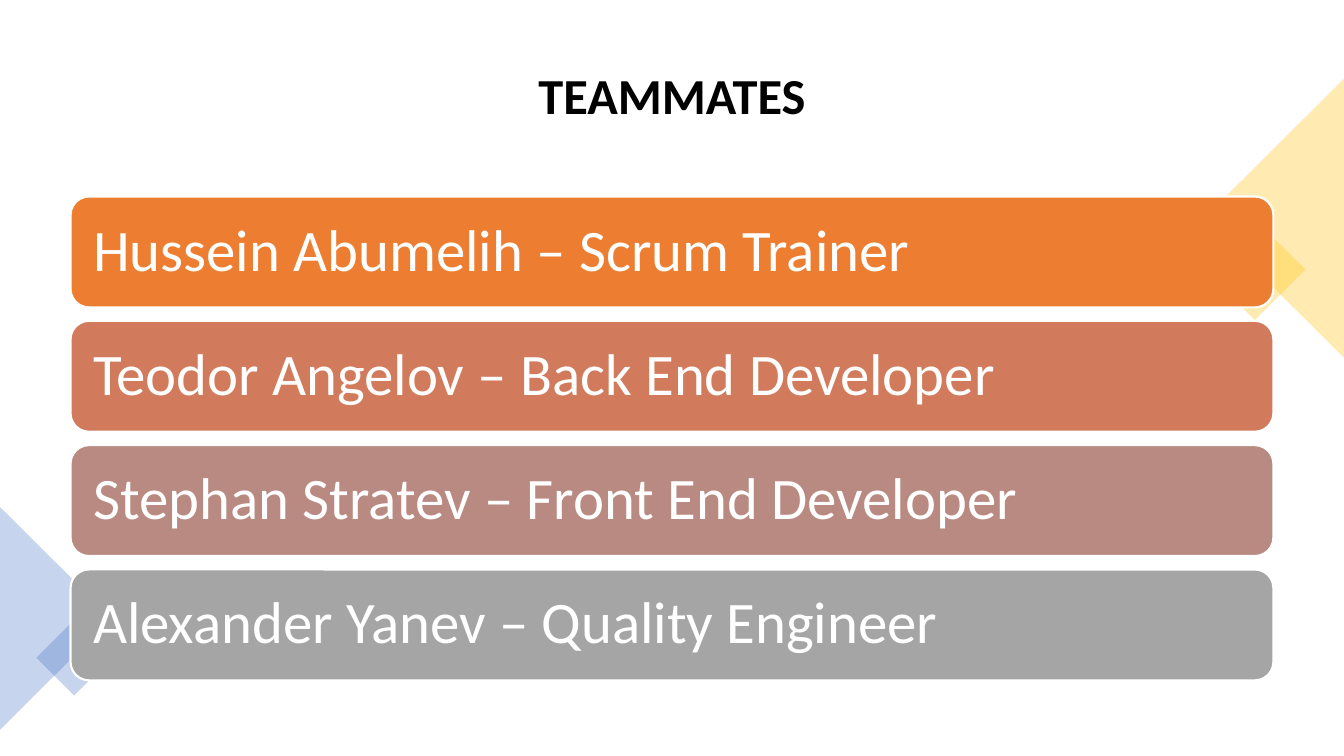
import dataclasses

import lxml.etree
import pptx
import pptx.dml.color
import pptx.enum.shapes
import pptx.enum.text
import pptx.oxml.ns
import pptx.util

Inches = pptx.util.Inches
Shape = pptx.enum.shapes.MSO_SHAPE
Align = pptx.enum.text.PP_ALIGN


@dataclasses.dataclass(frozen=True)
class Theme:
    """Colours, font and type sizes of the slide."""
    font: str = "Calibri"
    title_size: int = 36
    bar_size: int = 42
    ink: str = "000000"
    paper: str = "FFFFFF"
    gold: str = "FFC000"
    blue: str = "4472C4"
    opacity: int = 30


THEME = Theme()
TEAMMATES = [
    ("Hussein\u00a0Abumelih\u00a0– Scrum Trainer", "ED7D31"),
    ("Teodor Angelov – Back End Developer", "D17B5C"),
    ("Stephan\u00a0Stratev\u00a0– Front End Developer", "B98A82"),
    ("Alexander Yanev – Quality Engineer", "A5A5A5"),
]
LEFT, WIDTH = 0.7, 11.93
FIRST_TOP, LAST_TOP, BAR_HEIGHT = 1.95, 5.65, 1.1


def rgb(value):
    """Return a colour object for a hex value."""
    return pptx.dml.color.RGBColor.from_string(value)


def write_text(box, text, size, color, bold=False, align=Align.LEFT, inset=0.1):
    """Write one formatted paragraph, vertically centred in a shape."""
    frame = box.text_frame
    frame.word_wrap = True
    frame.auto_size = pptx.enum.text.MSO_AUTO_SIZE.NONE
    frame.vertical_anchor = pptx.enum.text.MSO_ANCHOR.MIDDLE
    frame.margin_left = frame.margin_right = Inches(inset)
    para = frame.paragraphs[0]
    para.alignment = align
    para.line_spacing = 0.9
    span = para.add_run()
    span.text = text
    span.font.name = THEME.font
    span.font.size = pptx.util.Pt(size)
    span.font.bold = bold
    span.font.color.rgb = rgb(color)


def add_filled(page, kind, left, top, width, height, color):
    """Add a preset shape with a flat fill and no outline or shadow."""
    box = page.shapes.add_shape(
        kind, Inches(left), Inches(top), Inches(width), Inches(height))
    box.shadow.inherit = False
    box.fill.solid()
    box.fill.fore_color.rgb = rgb(color)
    box.line.fill.background()
    return box


def add_accent(page, kind, left, top, width, height, color, rotation):
    """Add a rotated, translucent corner decoration."""
    box = add_filled(page, kind, left, top, width, height, color)
    box.rotation = rotation
    qn = pptx.oxml.ns.qn
    tint = box.fill._xPr.find(qn("a:solidFill")).find(qn("a:srgbClr"))
    lxml.etree.SubElement(tint, qn("a:alpha"), val=str(THEME.opacity * 1000))


def add_title(page, text):
    """Place and fill the title placeholder."""
    title = page.shapes.title
    title.left, title.top = Inches(LEFT), Inches(0.35)
    title.width, title.height = Inches(WIDTH), Inches(1.24)
    write_text(title, text, THEME.title_size, THEME.ink,
               bold=True, align=Align.CENTER)


def add_bars(page, teammates):
    """Stack one rounded bar per teammate at equal steps."""
    step = (LAST_TOP - FIRST_TOP) / (len(teammates) - 1)
    for index, (text, color) in enumerate(teammates):
        bar = add_filled(page, Shape.ROUNDED_RECTANGLE, LEFT,
                         FIRST_TOP + index * step, WIDTH, BAR_HEIGHT, color)
        bar.line.color.rgb = rgb(THEME.paper)
        bar.line.width = pptx.util.Pt(1.5)
        write_text(bar, text, THEME.bar_size, THEME.paper, inset=0.17)


def main():
    """Build and save the teammates slide."""
    deck = pptx.Presentation()
    deck.slide_width, deck.slide_height = Inches(13.33), Inches(7.5)
    page = deck.slides.add_slide(deck.slide_layouts.get_by_name("Title Only"))
    add_title(page, "TEAMMATES")
    triangle, square = Shape.ISOSCELES_TRIANGLE, Shape.RECTANGLE
    add_accent(page, square, 12.09, 2.32, 0.71, 0.71, THEME.gold, 45)
    add_accent(page, triangle, 11.25, 1.47, 2.77, 1.39, THEME.gold, 270)
    add_accent(page, triangle, -0.55, 5.58, 2.21, 1.11, THEME.blue, 90)
    add_accent(page, square, 0.47, 6.26, 0.53, 0.53, THEME.blue, 45)
    add_bars(page, TEAMMATES)
    deck.save("out.pptx")


main()
